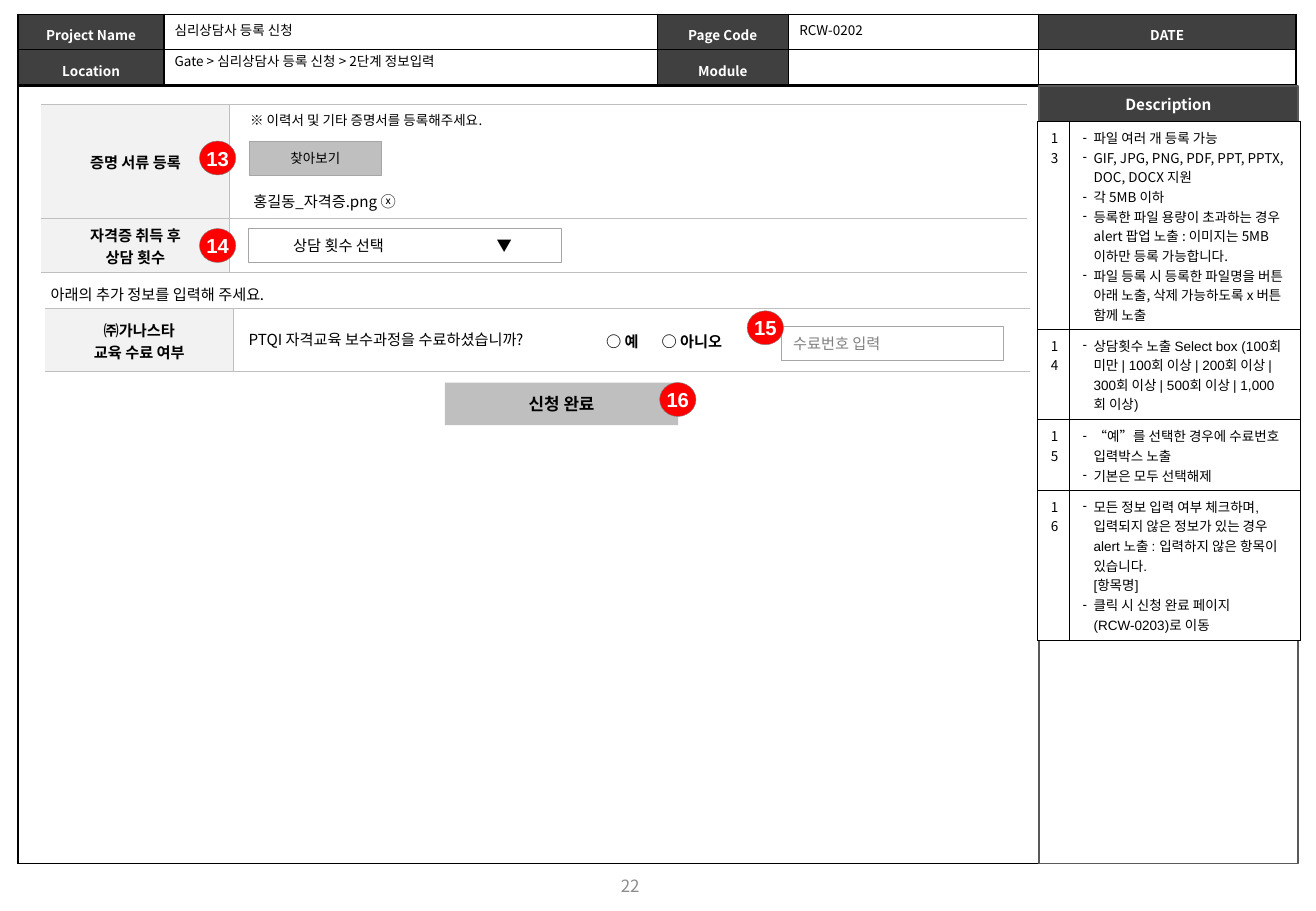
from lxml.etree import SubElement
from pptx import Presentation
from pptx.dml.color import RGBColor
from pptx.enum.shapes import MSO_SHAPE
from pptx.enum.text import MSO_ANCHOR, PP_ALIGN
from pptx.oxml import parse_xml
from pptx.oxml.ns import nsdecls, qn
from pptx.util import Cm, Pt

COLORS = {
    "black": "000000", "white": "FFFFFF", "dark": "404040", "panel": "595959",
    "label": "F2F2F2", "rule": "BFBFBF", "edge": "A6A6A6", "hint": "808080",
    "number": "8C8C8C", "badge": "FF0000",
}
SANS = "Noto Sans CJK KR"
LEFT, CENTER = PP_ALIGN.LEFT, PP_ALIGN.CENTER
TOP, MIDDLE = MSO_ANCHOR.TOP, MSO_ANCHOR.MIDDLE
EDGES = ("L", "R", "T", "B")
INSETS = (0.25, 0.13, 0.25, 0.13)


def rgb(name):
    return RGBColor.from_string(COLORS[name])


class Wireframe:
    def __init__(self, page):
        self.page = page

    def set_text(self, frame, lines, size=8, color="black", bold=False, align=LEFT,
                 spacing=None, latin=SANS, tab=None, bullets=False):
        for index, line in enumerate(lines):
            para = frame.paragraphs[0] if index == 0 else frame.add_paragraph()
            line, face = line if isinstance(line, tuple) else (line, latin)
            if line:
                para.text = line
            para.alignment = align
            if spacing:
                para.line_spacing = spacing
            properties = para._p.get_or_add_pPr()
            if bullets:
                properties.set("marL", str(Cm(0.23)))
                if line.startswith("["):
                    properties.set("indent", "0")
                else:
                    properties.set("indent", str(-Cm(0.23)))
                    SubElement(properties, qn("a:buFont")).set("typeface", "Arial")
                    SubElement(properties, qn("a:buChar")).set("char", "-")
            if tab:
                stops = SubElement(properties, qn("a:tabLst"))
                stop = SubElement(stops, qn("a:tab"))
                stop.set("pos", str(Cm(tab)))
                stop.set("algn", "l")
            font = para.font
            font.name, font.size, font.bold = face, Pt(size), bold
            font.color.rgb = rgb(color)
            defaults = properties.find(qn("a:defRPr"))
            SubElement(defaults, qn("a:ea")).set("typeface", SANS)

    def set_frame(self, frame, anchor, wrap, insets=INSETS):
        frame.word_wrap, frame.vertical_anchor = wrap, anchor
        (frame.margin_left, frame.margin_top,
         frame.margin_right, frame.margin_bottom) = map(Cm, insets)

    def title(self, place, line):
        box = self.page.shapes.title
        box.left, box.top, box.width, box.height = map(Cm, place)
        self.set_frame(box.text_frame, TOP, False)
        self.set_text(box.text_frame, [line], spacing=1.0)

    def text(self, place, line, anchor=TOP, wrap=False, **style):
        box = self.page.shapes.add_textbox(*map(Cm, place))
        self.set_frame(box.text_frame, anchor, wrap)
        self.set_text(box.text_frame, [line], **style)

    def shape(self, place, fill, edge=None, width=0.25, line="", kind=MSO_SHAPE.RECTANGLE,
              insets=INSETS, **style):
        box = self.page.shapes.add_shape(kind, *map(Cm, place))
        box.shadow.inherit = False
        box.fill.solid()
        box.fill.fore_color.rgb = rgb(fill)
        if edge:
            box.line.color.rgb = rgb(edge)
            box.line.width = Pt(width)
        else:
            box.line.fill.background()
        if line:
            self.set_frame(box.text_frame, MIDDLE, True, insets)
            self.set_text(box.text_frame, [line], **style)

    def badge(self, left, top, number):
        self.shape((left, top, 0.76, 0.71), "badge", "hint", line=str(number),
                   kind=MSO_SHAPE.OVAL, insets=(0, 0.13, 0, 0.13), size=12,
                   color="white", bold=True, align=CENTER, latin="Arial")

    def table(self, left, top, columns, rows):
        graphic = self.page.shapes.add_table(
            len(rows), len(columns), Cm(left), Cm(top), Cm(sum(columns)), Cm(sum(rows)))
        table = graphic.table
        table.first_row = table.horz_banding = False
        for column, width in zip(table.columns, columns):
            column.width = Cm(width)
        for row, height in zip(table.rows, rows):
            row.height = Cm(height)
        return table

    def cell(self, cell, lines=("",), fill=None, edge="black", width=1.0, sides="LRTB",
             insets=INSETS, anchor=TOP, **style):
        (cell.margin_left, cell.margin_top,
         cell.margin_right, cell.margin_bottom) = map(Cm, insets)
        cell.vertical_anchor = anchor
        self.set_text(cell.text_frame, lines, **style)
        properties = cell._tc.get_or_add_tcPr()
        for index, side in enumerate(EDGES):
            paint = "<a:noFill/>"
            if side in sides:
                paint = f'<a:solidFill><a:srgbClr val="{COLORS[edge]}"/></a:solidFill>'
            properties.insert(index, parse_xml(
                f'<a:ln{side} {nsdecls("a")} w="{Pt(width)}">{paint}</a:ln{side}>'))
        if fill:
            cell.fill.solid()
            cell.fill.fore_color.rgb = rgb(fill)
        else:
            cell.fill.background()

    def form(self, left, top, heights, labels):
        table = self.table(left, top, (3.94, 16.66), heights)
        rule = {"edge": "rule", "width": 0.5}
        for row, lines in enumerate(labels):
            self.cell(table.cell(row, 0), lines, "label", sides="RTB", anchor=MIDDLE,
                      insets=(0.03, 0.03, 0.03, 0), size=9, bold=True, align=CENTER, **rule)
            self.cell(table.cell(row, 1), fill="white", sides="LTB", **rule)


HEADER = [["Project Name", "", "Page Code", "", "DATE"],
          ["Location", "", "Module", "", ""]]
DESCRIPTION = {
    13: ["파일 여러 개 등록 가능",
         "GIF, JPG, PNG, PDF, PPT, PPTX, DOC, DOCX 지원",
         "각 5MB 이하",
         "등록한 파일 용량이 초과하는 경우 alert 팝업 노출 : 이미지는 5MB 이하만 등록 가능합니다.",
         "파일 등록 시 등록한 파일명을 버튼 아래 노출, 삭제 가능하도록 x 버튼 함께 노출"],
    14: [("상담횟수 노출 Select box (100회 미만 | 100회 이상 | 200회 이상 | 300회 이상 "
          "| 500회 이상 | 1,000회 이상)", "Arial")],
    15: ["“예”를 선택한 경우에 수료번호 입력박스 노출",
         ("기본은 모두 선택해제", "Arial")],
    16: [("모든 정보 입력 여부 체크하며, 입력되지 않은 정보가 있는 경우 alert 노출 : "
          "입력하지 않은 항목이 있습니다.", "Arial"),
         ("[항목명]", "Arial"),
         ("클릭 시 신청 완료 페이지(RCW-0203)로 이동", "Arial")],
}


def main():
    deck = Presentation()
    deck.slide_width, deck.slide_height = Cm(27.51), Cm(19.05)
    page = deck.slides.add_slide(deck.slide_layouts[5])
    screen = Wireframe(page)

    screen.cell(screen.table(0.38, 1.8, (26.7,), (16.26,)).cell(0, 0))
    header = screen.table(0.38, 0.3, (3.05, 10.31, 2.74, 5.23, 5.38), (0.74, 0.71))
    for row, names in enumerate(HEADER):
        for column, name in enumerate(names):
            screen.cell(header.cell(row, column), [name], "dark" if name else None,
                        insets=(0.1, 0.1, 0.1, 0.1), color="white", bold=True,
                        align=CENTER, spacing=1.3)
    screen.title((3.4, 0.33, 3.28, 0.61), "심리상담사 등록 신청")
    screen.text((3.4, 0.99, 6.65, 0.61), "Gate > 심리상담사 등록 신청 > 2단계 정보입력")
    screen.text((16.46, 0.33, 1.88, 0.61), "RCW-0202")

    screen.shape((21.72, 2.54, 5.41, 15.52), "white", "panel", 1)
    screen.shape((21.72, 1.8, 5.41, 0.76), "dark", "panel", 1, "Description",
                 size=9, color="white", bold=True, align=CENTER)
    notes = screen.table(21.69, 2.54, (0.64, 4.83), (4.34, 1.9, 1.47, 3.15))
    look = {"fill": "white", "width": 0.5, "insets": (0.28, 0.13, 0.28, 0.13)}
    for row, (number, lines) in enumerate(DESCRIPTION.items()):
        screen.cell(notes.cell(row, 0), [str(number)], **look)
        screen.cell(notes.cell(row, 1), lines, bullets=True, **look)

    screen.form(0.86, 2.18, (2.39, 1.12), [["증명 서류 등록"], ["자격증 취득 후", "상담 횟수"]])
    screen.text((4.98, 2.21, 5.87, 0.61), "※ 이력서 및 기타 증명서를 등록해주세요.")
    screen.shape((5.21, 2.95, 2.77, 0.71), "rule", "edge", line="찾아보기", align=CENTER)
    screen.text((5.05, 3.71, 6.73, 0.84), "홍길동_자격증.png ⓧ", wrap=True, size=9, spacing=1.5)
    screen.shape((5.18, 4.78, 6.55, 0.71), "white", "edge", line="상담 횟수 선택\t▼",
                 insets=(0.95, 0.13, 0.25, 0.13), size=9, tab=4.25)

    screen.text((0.81, 5.84, 5.51, 0.64), "아래의 추가 정보를 입력해 주세요.", size=9)
    screen.form(0.94, 6.45, (1.32,), [["㈜가나스타", "교육 수료 여부"]])
    screen.text((4.95, 6.78, 6.86, 0.64), "PTQI 자격교육 보수과정을 수료하셨습니까?", size=9)
    screen.text((12.42, 6.81, 3.4, 0.64), "○ 예\t○ 아니오", wrap=True, size=9, bold=True, tab=1.16)
    screen.shape((16.33, 6.83, 4.65, 0.71), "white", "edge", line="수료번호 입력",
                 size=9, color="hint")
    screen.shape((9.3, 8, 4.88, 0.89), "rule", line="신청 완료", size=10, bold=True, align=CENTER)

    badges = ((4.17, 2.95), (4.17, 4.78), (15.62, 6.5), (13.79, 8))
    for number, (left, top) in zip(DESCRIPTION, badges):
        screen.badge(left, top, number)
    screen.text((9.96, 18.01, 6.43, 1.02), "22", anchor=MIDDLE, wrap=True, size=10,
                color="number", align=CENTER)
    deck.save("out.pptx")


if __name__ == "__main__":
    main()
